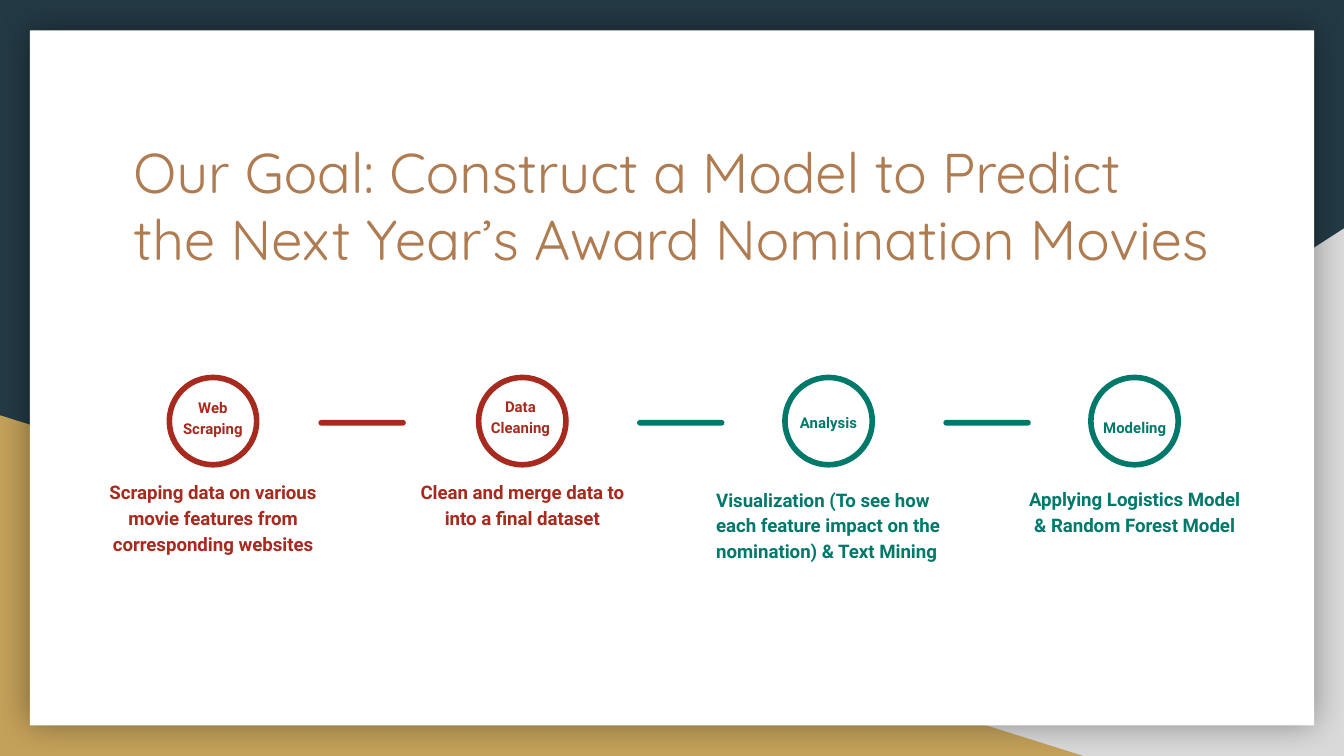
from dataclasses import dataclass

from lxml.etree import SubElement
from pptx import Presentation
from pptx.dml.color import RGBColor
from pptx.enum.shapes import MSO_SHAPE as Shape
from pptx.enum.text import MSO_ANCHOR as Anchor
from pptx.enum.text import MSO_AUTO_SIZE as AutoSize
from pptx.enum.text import PP_ALIGN as Align
from pptx.oxml.ns import qn
from pptx.util import Pt

COLORS = {
    "navy": "233A44",
    "grey": "D9D9D9",
    "gold": "C4A15A",
    "white": "FFFFFF",
    "black": "000000",
    "copper": "AF7B51",
    "red": "A72A1E",
    "green": "00796B",
}
TITLE = "Our Goal: Construct a Model to Predict the Next Year’s Award Nomination Movies"
CIRCLE_SIZE = 46.8
CIRCLE_TOP = 202.2
CAPTION_WIDTH = 134.6
BARS = [(170.6, "red"), (341.3, "green"), (505.4, "green")]


@dataclass
class Stage:
    """One step of the process: a ringed label with a caption below."""
    center: float
    color: str
    label: str
    label_box: tuple
    caption: str
    caption_top: float
    align: Align = Align.CENTER


STAGES = [
    Stage(114.1, "red", "Web Scraping", (84.2, 205, 59.8, 25.2),
          "Scraping data on various movie features from corresponding websites", 248.6),
    Stage(279.8, "red", "Data Cleaning", (251.5, 204.5, 54.7, 20.2),
          "Clean and merge data to into a final dataset", 248.6),
    Stage(443.9, "green", "Analysis", (401.8, 213.1, 84.2, 25.2),
          "Visualization (To see how each feature impact on the nomination) & Text Mining",
          252.7, Align.LEFT),
    Stage(607.8, "green", "Modeling", (571.2, 215.7, 73.4, 25.2),
          "Applying Logistics Model & Random Forest Model", 252.4),
]


def color_of(name):
    """Return the named palette colour."""
    return RGBColor.from_string(COLORS[name])


def place(box, left, top, width, height):
    """Move and size a shape, in points."""
    box.left, box.top = Pt(left), Pt(top)
    box.width, box.height = Pt(width), Pt(height)


def write(box, text, *, size, color, font="Roboto", bold=True,
          align=Align.CENTER, spacing=1.15):
    """Fill a box with one formatted paragraph."""
    frame = box.text_frame
    frame.word_wrap = True
    frame.auto_size = AutoSize.NONE
    frame.vertical_anchor = Anchor.TOP
    frame.margin_left = frame.margin_right = Pt(7.2)
    frame.margin_top = frame.margin_bottom = Pt(7.2)
    para = frame.paragraphs[0]
    para.alignment = align
    para.line_spacing = spacing
    para.space_before = Pt(0)
    span = para.add_run()
    span.text = text
    span.font.name = font
    span.font.size = Pt(size)
    span.font.bold = bold
    span.font.color.rgb = color_of(color)


def add_text(shapes, text, bounds, **style):
    """Add a text box with formatted text."""
    box = shapes.add_textbox(*map(Pt, bounds))
    write(box, text, **style)


def add_solid(shapes, kind, bounds, color):
    """Add a filled shape without an outline."""
    shape = shapes.add_shape(kind, *map(Pt, bounds))
    shape.shadow.inherit = False
    shape.fill.solid()
    shape.fill.fore_color.rgb = color_of(color)
    shape.line.fill.background()
    return shape


def add_ring(shapes, bounds, color):
    """Add an unfilled circle with a thick outline."""
    ring = shapes.add_shape(Shape.OVAL, *map(Pt, bounds))
    ring.shadow.inherit = False
    ring.fill.background()
    ring.line.color.rgb = color_of(color)
    ring.line.width = Pt(3)


def add_glow_shadow(shape, blur, opacity):
    """Give a shape a soft shadow spreading evenly on all sides."""
    effects = shape.element.spPr.find(qn("a:effectLst"))
    shadow = SubElement(effects, qn("a:outerShdw"), blurRad=str(Pt(blur)),
                        dist="0", dir="0", algn="ctr", rotWithShape="0")
    tint = SubElement(shadow, qn("a:srgbClr"), val=COLORS["black"])
    SubElement(tint, qn("a:alpha"), val=str(opacity * 1000))


def add_backdrop(page):
    """Add the corner triangles and the white card."""
    page.background.fill.solid()
    page.background.fill.fore_color.rgb = color_of("navy")
    corner = add_solid(page.shapes, Shape.RIGHT_TRIANGLE, (282.2, 122.4, 437.8, 282.6), "grey")
    corner.element.spPr.xfrm.set("flipH", "1")
    add_solid(page.shapes, Shape.RIGHT_TRIANGLE, (0, 222.5, 580.3, 182.5), "gold")
    card = add_solid(page.shapes, Shape.RECTANGLE, (16, 16.2, 688, 372.4), "white")
    add_glow_shadow(card, blur=18, opacity=40)


def add_title(page):
    """Place the title in front of the backdrop."""
    title = page.shapes.title
    page.shapes.element.append(title.element)
    place(title, 64.3, 66.4, 591.1, 74.9)
    write(title, TITLE, size=30, color="copper", font="Quicksand",
          bold=False, align=Align.LEFT, spacing=1.0)


def add_stage(page, stage):
    """Add one grouped stage of the process."""
    shapes = page.shapes.add_group_shape().shapes
    add_ring(shapes, (stage.center - CIRCLE_SIZE / 2, CIRCLE_TOP, CIRCLE_SIZE, CIRCLE_SIZE),
             stage.color)
    add_text(shapes, stage.label, stage.label_box, size=8, color=stage.color)
    add_text(shapes, stage.caption,
             (stage.center - CAPTION_WIDTH / 2, stage.caption_top, CAPTION_WIDTH, 58.3),
             size=10, color=stage.color, align=stage.align)


def add_bar(page, left, color):
    """Add a rounded bar between two stages."""
    bar = add_solid(page.shapes, Shape.ROUNDED_RECTANGLE, (left, 225, 46.8, 3), color)
    bar.adjustments[0] = 0.5


def main():
    """Build the slide and save it."""
    deck = Presentation()
    deck.slide_width, deck.slide_height = Pt(720), Pt(405)
    page = deck.slides.add_slide(deck.slide_layouts[5])
    add_backdrop(page)
    add_title(page)
    for stage in STAGES:
        add_stage(page, stage)
    for left, color in BARS:
        add_bar(page, left, color)
    deck.save("out.pptx")


if __name__ == "__main__":
    main()
